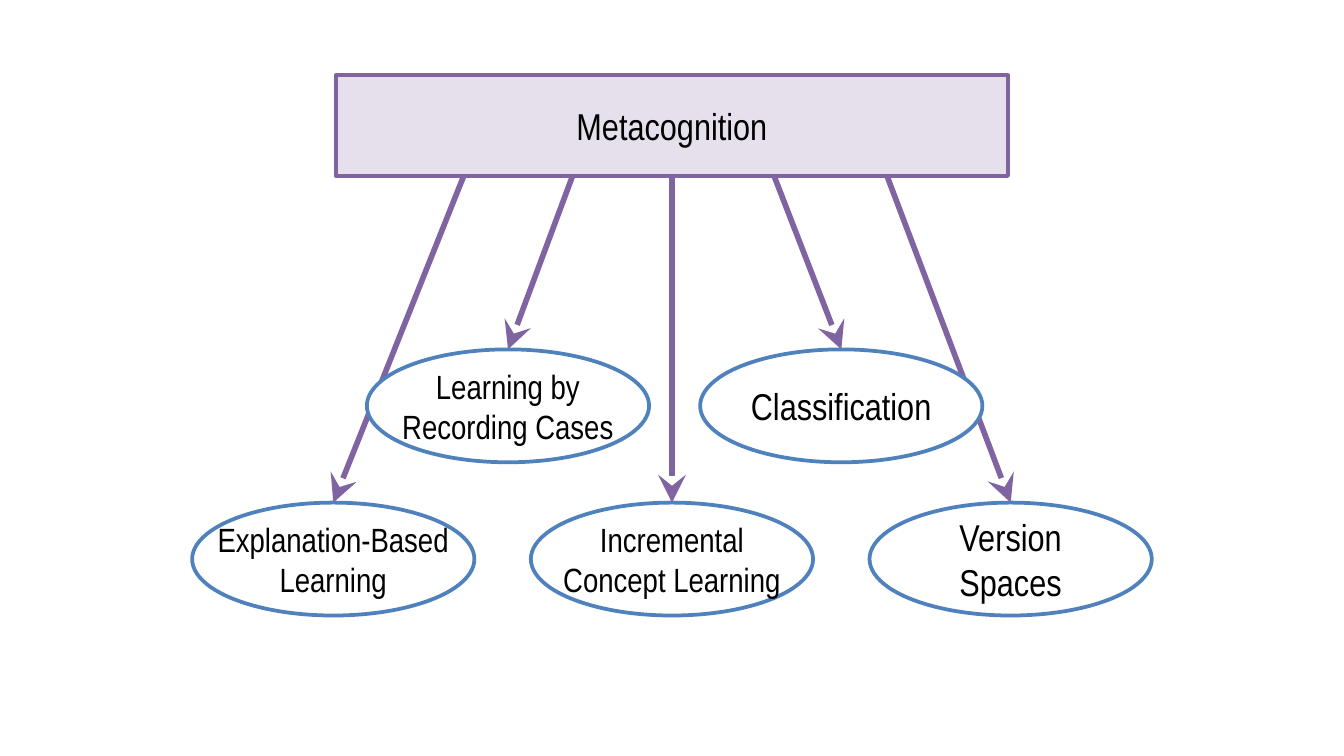
from dataclasses import dataclass

from lxml.etree import SubElement
from pptx import Presentation
from pptx.dml.color import RGBColor
from pptx.enum.shapes import MSO_CONNECTOR, MSO_SHAPE
from pptx.enum.text import MSO_ANCHOR, PP_ALIGN
from pptx.oxml.ns import qn
from pptx.util import Inches, Pt


@dataclass(frozen=True)
class Theme:
    font: str = "Arial Narrow"
    text: str = "000000"
    purple: str = "8064A2"
    lilac: str = "E6E0EC"
    blue: str = "4F81BD"
    white: str = "FFFFFF"
    large: int = 20
    small: int = 18
    outline: int = 2
    arrow: int = 3


THEME = Theme()
SLIDE_WIDTH = 10
SLIDE_HEIGHT = SLIDE_WIDTH * 9 / 16
ROOT = {"lines": ["Metacognition"], "left": 2.5, "top": 0.56, "width": 5, "height": 0.75}
OVAL_WIDTH, OVAL_HEIGHT = 2.1, 0.84
UPPER, LOWER = 2.6, 3.74
METHODS = [
    {"lines": ["Explanation-Based", "Learning"], "center": 2.48, "top": LOWER,
     "start": 3.45, "size": THEME.small, "wrap": False, "inset": 0.1},
    {"lines": ["Incremental", "Concept Learning"], "center": 5, "top": LOWER,
     "start": 5, "size": THEME.small, "wrap": False, "inset": 0.1},
    {"lines": ["Version Spaces"], "center": 7.52, "top": LOWER,
     "start": 6.6, "size": THEME.large, "wrap": True, "inset": 0.1},
    {"lines": ["Learning by", "Recording Cases"], "center": 3.78, "top": UPPER,
     "start": 4.26, "size": THEME.small, "wrap": False, "inset": 0},
    {"lines": ["Classification"], "center": 6.26, "top": UPPER,
     "start": 5.76, "size": THEME.large, "wrap": True, "inset": 0},
]


def color(value):
    return RGBColor.from_string(value)


def add_node(page, kind, bounds, lines, fill, stroke, size, wrap=True, inset=0.1):
    shape = page.shapes.add_shape(kind, *(Inches(value) for value in bounds))
    shape.shadow.inherit = False
    shape.fill.solid()
    shape.fill.fore_color.rgb = color(fill)
    shape.line.color.rgb = color(stroke)
    shape.line.width = Pt(THEME.outline)
    frame = shape.text_frame
    frame.word_wrap = wrap
    frame.vertical_anchor = MSO_ANCHOR.MIDDLE
    frame.margin_left = frame.margin_right = Inches(inset)
    frame.margin_top = frame.margin_bottom = Inches(0.05)
    for index, line in enumerate(lines):
        para = frame.add_paragraph() if index else frame.paragraphs[0]
        para.alignment = PP_ALIGN.CENTER
        span = para.add_run()
        span.text = line
        span.font.name = THEME.font
        span.font.size = Pt(size)
        span.font.color.rgb = color(THEME.text)


def add_arrow(page, start, end):
    arrow = page.shapes.add_connector(
        MSO_CONNECTOR.STRAIGHT, *(Inches(value) for value in (*start, *end)))
    arrow.line.color.rgb = color(THEME.purple)
    arrow.line.width = Pt(THEME.arrow)
    properties = arrow._element.spPr
    SubElement(properties.find(qn("a:ln")), qn("a:tailEnd"), type="stealth", w="lg", len="lg")
    SubElement(properties, qn("a:effectLst"))


def main():
    """Build the metacognition diagram slide."""
    deck = Presentation()
    deck.slide_width, deck.slide_height = Inches(SLIDE_WIDTH), Inches(SLIDE_HEIGHT)
    page = deck.slides.add_slide(deck.slide_layouts[6])
    add_node(page, MSO_SHAPE.RECTANGLE,
             (ROOT["left"], ROOT["top"], ROOT["width"], ROOT["height"]),
             ROOT["lines"], THEME.lilac, THEME.purple, THEME.large)
    root_bottom = ROOT["top"] + ROOT["height"]
    for method in METHODS:
        add_arrow(page, (method["start"], root_bottom), (method["center"], method["top"]))
    for method in METHODS:
        left = method["center"] - OVAL_WIDTH / 2
        add_node(page, MSO_SHAPE.OVAL, (left, method["top"], OVAL_WIDTH, OVAL_HEIGHT),
                 method["lines"], THEME.white, THEME.blue,
                 method["size"], method["wrap"], method["inset"])
    deck.save("out.pptx")


if __name__ == "__main__":
    main()
